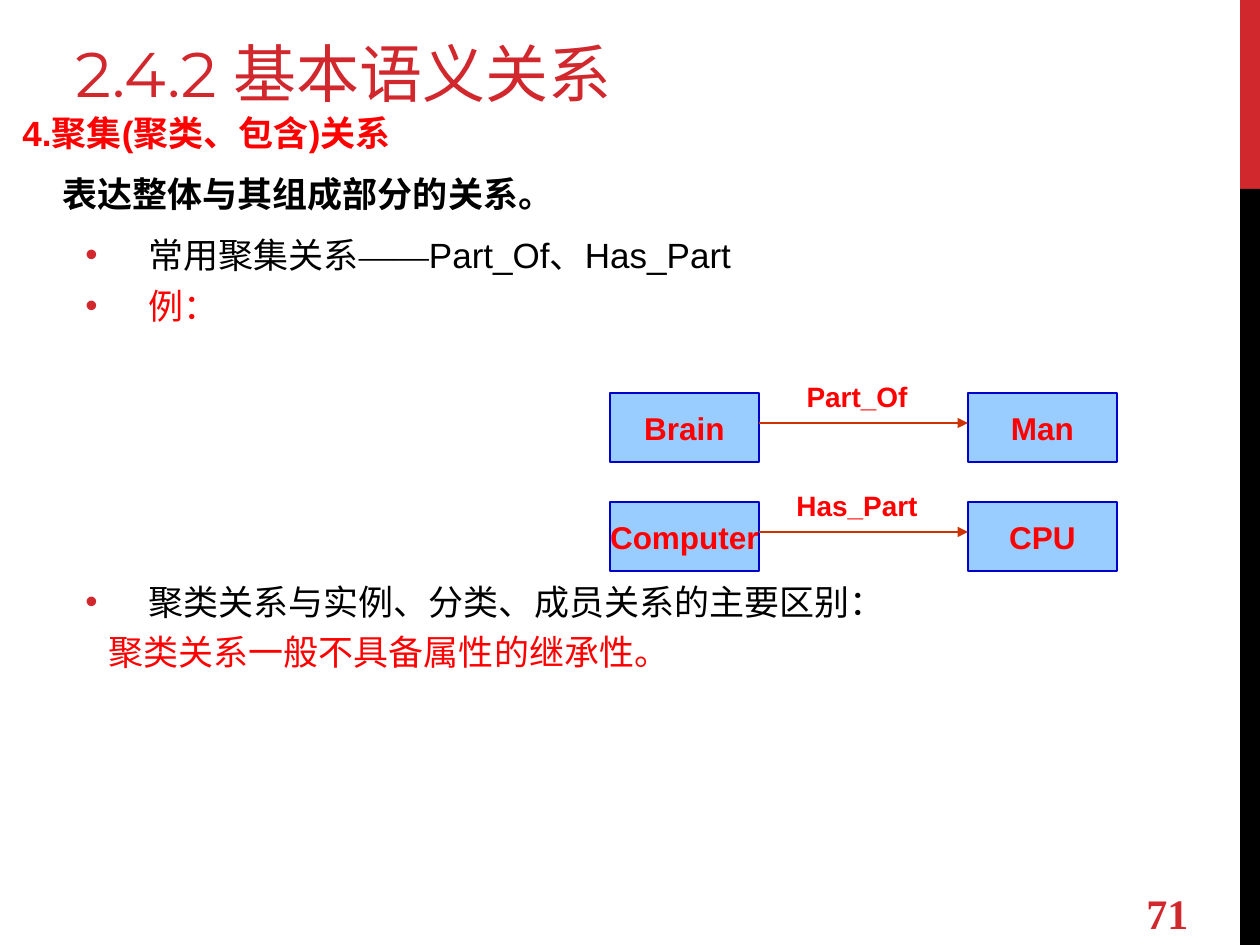
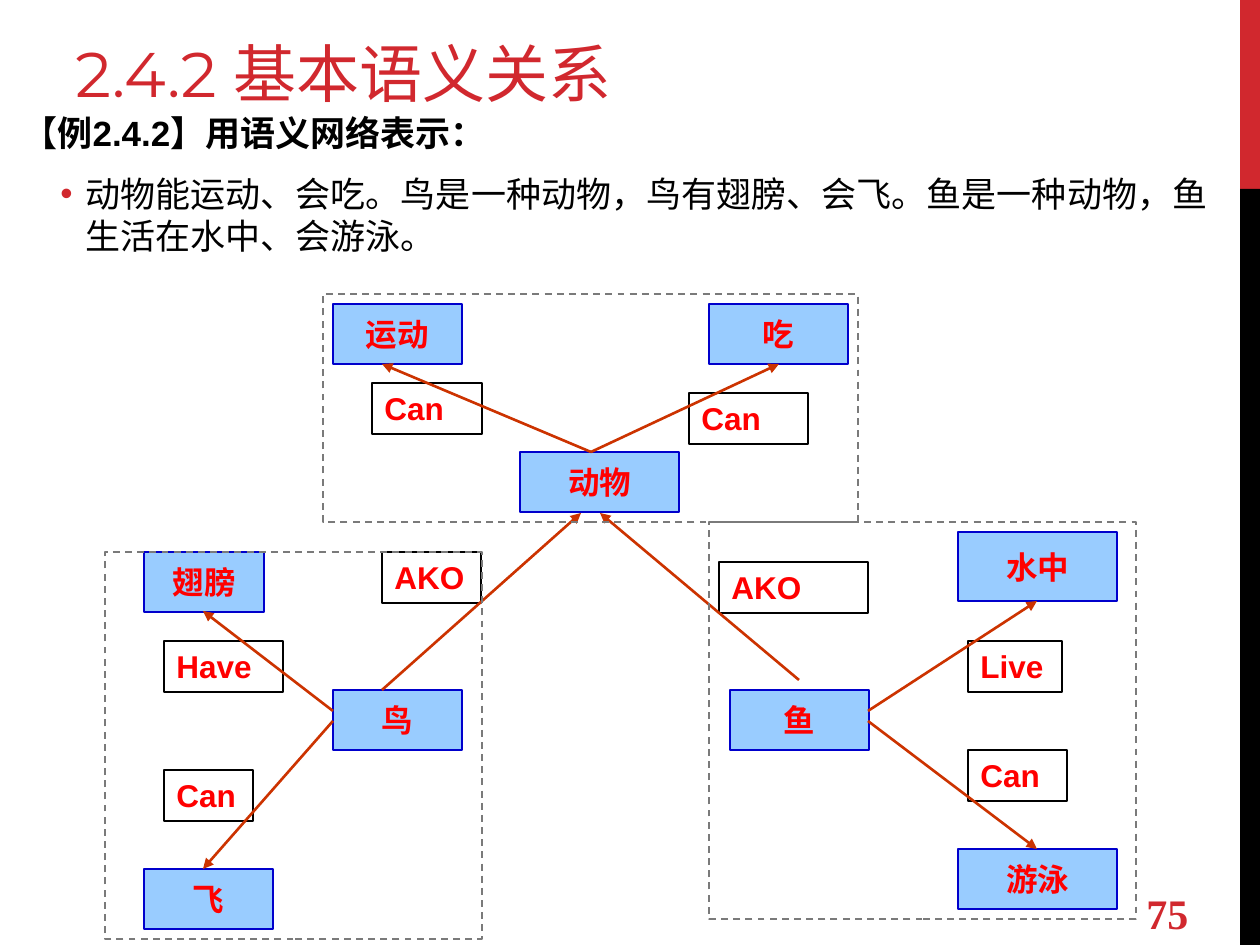
"""Builds two slides on basic semantic relations in semantic networks."""
import pptx
import pptx.util
import pptx.dml.color
import pptx.enum.dml
import pptx.enum.shapes
import pptx.enum.text
import pptx.oxml

SCALE = 914400 / 126
NS = 'xmlns:a="http://schemas.openxmlformats.org/drawingml/2006/main"'
RED, BLACK, CRIMSON = "FF0000", "000000", "D1282E"
SKY, BLUE, RUST, GREY = "99CCFF", "0000CC", "CC3300", "7A7A7A"
RECT = pptx.enum.shapes.MSO_SHAPE.RECTANGLE
ALIGN = pptx.enum.text.PP_ALIGN
ANCHOR = pptx.enum.text.MSO_ANCHOR


def px(*sizes):
    return [pptx.util.Emu(round(size * SCALE)) for size in sizes]


def hue(code):
    return pptx.dml.color.RGBColor.from_string(code)


def add_xml(parent, markup):
    tag, _, rest = markup.partition(" ")
    parent.append(pptx.oxml.parse_xml(f"<a:{tag} {NS} {rest}/>"))


def write(para, text, size=18, font="Arial", color=RED, bold=True):
    run = para.add_run()
    run.text = text
    run.font.size = pptx.util.Pt(size)
    run.font.name = font
    run.font.bold = bold
    run.font.color.rgb = hue(color)
    add_xml(run.font._element, f'ea typeface="{font}"')


def add_text(slide, box, text, anchor=ANCHOR.TOP, align=ALIGN.LEFT, **style):
    frame = slide.shapes.add_textbox(*px(*box)).text_frame
    frame.word_wrap = True
    frame.vertical_anchor = anchor
    frame.paragraphs[0].alignment = align
    write(frame.paragraphs[0], text, **style)


def add_box(slide, box, fill=None, line=None, width=1.5, dash=False):
    shape = slide.shapes.add_shape(RECT, *px(*box))
    shape.shadow.inherit = False
    if fill:
        shape.fill.solid()
        shape.fill.fore_color.rgb = hue(fill)
    else:
        shape.fill.background()
    if line:
        shape.line.color.rgb = hue(line)
        shape.line.width = pptx.util.Pt(width)
    else:
        shape.line.fill.background()
    if dash:
        shape.line.dash_style = pptx.enum.dml.MSO_LINE.DASH
    return shape


def add_node(slide, text, box, width=1.5):
    frame = add_box(slide, box, SKY, BLUE, width).text_frame
    frame.word_wrap = False
    frame.vertical_anchor = ANCHOR.MIDDLE
    frame.paragraphs[0].alignment = ALIGN.CENTER
    write(frame.paragraphs[0], text)


def add_label(slide, text, left, top, width):
    frame = add_box(slide, (left, top, width, 51), line=BLACK).text_frame
    frame.word_wrap = True
    frame.vertical_anchor = ANCHOR.TOP
    frame.paragraphs[0].alignment = ALIGN.LEFT
    write(frame.paragraphs[0], text)


def add_arrow(slide, *ends):
    kind = pptx.enum.shapes.MSO_CONNECTOR.STRAIGHT
    arrow = slide.shapes.add_connector(kind, *px(*ends))
    arrow.line.color.rgb = hue(RUST)
    arrow.line.width = pptx.util.Pt(1.5)
    props = arrow._element.spPr
    add_xml(props.get_or_add_ln(), 'tailEnd type="triangle"')
    add_xml(props, "effectLst")


def add_body(slide, height):
    frame = slide.shapes.add_textbox(*px(10, 105, 1239, height)).text_frame
    frame.word_wrap = True
    return frame


def add_para(frame, *parts, left=0, hang=0, before=5, after=0, **style):
    """Adds a paragraph of (text, font) parts, with a bullet if it hangs."""
    first = not frame.paragraphs[0].runs
    para = frame.paragraphs[0] if first else frame.add_paragraph()
    para.line_spacing = pptx.util.Pt(24)
    para.space_before = pptx.util.Pt(0 if first else before)
    para.space_after = pptx.util.Pt(after)
    props = para._p.get_or_add_pPr()
    margin, indent = px(left, -hang)
    props.set("marL", str(margin))
    props.set("indent", str(indent))
    if hang:
        props.append(pptx.oxml.parse_xml(
            f'<a:buClr {NS}><a:srgbClr val="{CRIMSON}"/></a:buClr>'))
        add_xml(props, 'buFont typeface="Arial"')
        add_xml(props, 'buChar char="•"')
    for text, font in parts:
        write(para, text, size=20, font=font, **style)


def add_slide(deck, number):
    slide = deck.slides.add_slide(deck.slide_layouts[6])
    add_box(slide, (1240, 0, 20, 189), CRIMSON)
    add_box(slide, (1240, 189, 20, 756), BLACK)
    add_text(slide, (63, 21, 798, 95), "2.4.2 基本语义关系", ANCHOR.BOTTOM,
             size=36, font="Montserrat", color=CRIMSON, bold=False)
    add_text(slide, (1134, 888, 126, 50), number, ANCHOR.MIDDLE,
             size=24, font="Times New Roman", color=CRIMSON)
    return slide


def add_parts(deck):
    slide = add_slide(deck, "71")
    body = add_body(slide, 665)
    point = dict(left=126, hang=63, bold=False)
    add_para(body, ("4.聚集(聚类、包含)关系", "Arial"), after=6)
    add_para(body, ("表达整体与其组成部分的关系。", "Arial"),
             left=40, after=6, color=BLACK)
    add_para(body, ("常用聚集关系", "Arial"), ("——", "Times New Roman"),
             ("Part_Of、Has_Part", "Arial"), color=BLACK, **point)
    add_para(body, ("例：", "Arial"), **point)
    add_para(body, ("聚类关系与实例、分类、成员关系的主要区别：", "Arial"),
             before=145, color=BLACK, **point)
    add_para(body, ("聚类关系一般不具备属性的继承性。", "Arial"),
             left=86, bold=False)
    links = [("Brain", "Part_Of", "Man"), ("Computer", "Has_Part", "CPU")]
    for row, (source, link, target) in enumerate(links):
        top = 393 + 109 * row
        add_node(slide, source, (610, top, 149, 69), 0.75)
        add_node(slide, target, (968, top, 149, 69), 0.75)
        add_arrow(slide, 759, top + 30, 968, top + 30)
        add_text(slide, (748, top - 20, 218, 47), link,
                 align=ALIGN.CENTER, size=16)


def add_net(deck):
    slide = add_slide(deck, "75")
    for label in [("Can", 372, 383, 110), ("Can", 689, 393, 119),
                  ("AKO", 382, 552, 99), ("Live", 968, 641, 94),
                  ("Have", 164, 641, 119), ("Can", 164, 770, 89),
                  ("AKO", 719, 562, 149), ("Can", 968, 750, 99)]:
        add_label(slide, *label)
    for text, *box in [("动物", 520, 452, 159, 60), ("吃", 709, 304, 139, 60),
                       ("运动", 333, 304, 129, 60), ("翅膀", 144, 552, 120, 60),
                       ("水中", 958, 532, 159, 69), ("鸟", 333, 690, 129, 60),
                       ("鱼", 730, 690, 139, 60), ("飞", 144, 869, 129, 60),
                       ("游泳", 958, 849, 159, 60)]:
        add_node(slide, text, box)
    for ends in [(591, 452, 382, 364), (591, 452, 779, 364),
                 (382, 690, 581, 513), (799, 680, 600, 513),
                 (333, 711, 203, 611), (333, 721, 203, 869),
                 (868, 711, 1037, 601), (868, 721, 1037, 849)]:
        add_arrow(slide, *ends)
    body = add_body(slide, 181)
    add_para(body, ("【例2.4.2】用语义网络表示：", "Arial"),
             after=6, color=BLACK)
    add_para(body, ("动物能运动、会吃。鸟是一种动物，鸟有翅膀、会飞。"
                    "鱼是一种动物，鱼生活在水中、会游泳。", "Arial"),
             left=63, hang=25, color=BLACK, bold=False)
    for box in [(323, 294, 535, 228), (709, 522, 427, 397),
                (105, 552, 377, 387)]:
        add_box(slide, box, line=GREY, width=1, dash=True)


def main():
    deck = pptx.Presentation()
    deck.slide_width, deck.slide_height = px(1260, 945)
    add_parts(deck)
    add_net(deck)
    deck.save("out.pptx")


if __name__ == "__main__":
    main()
